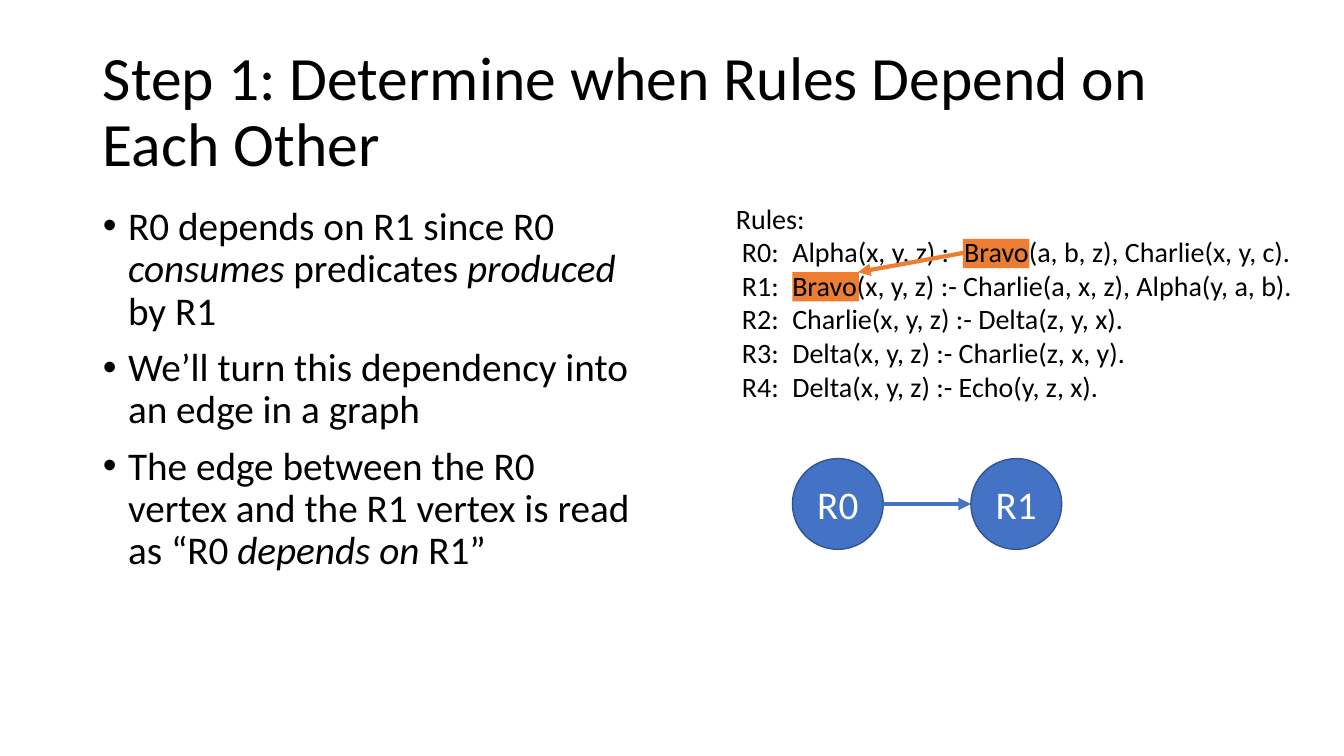
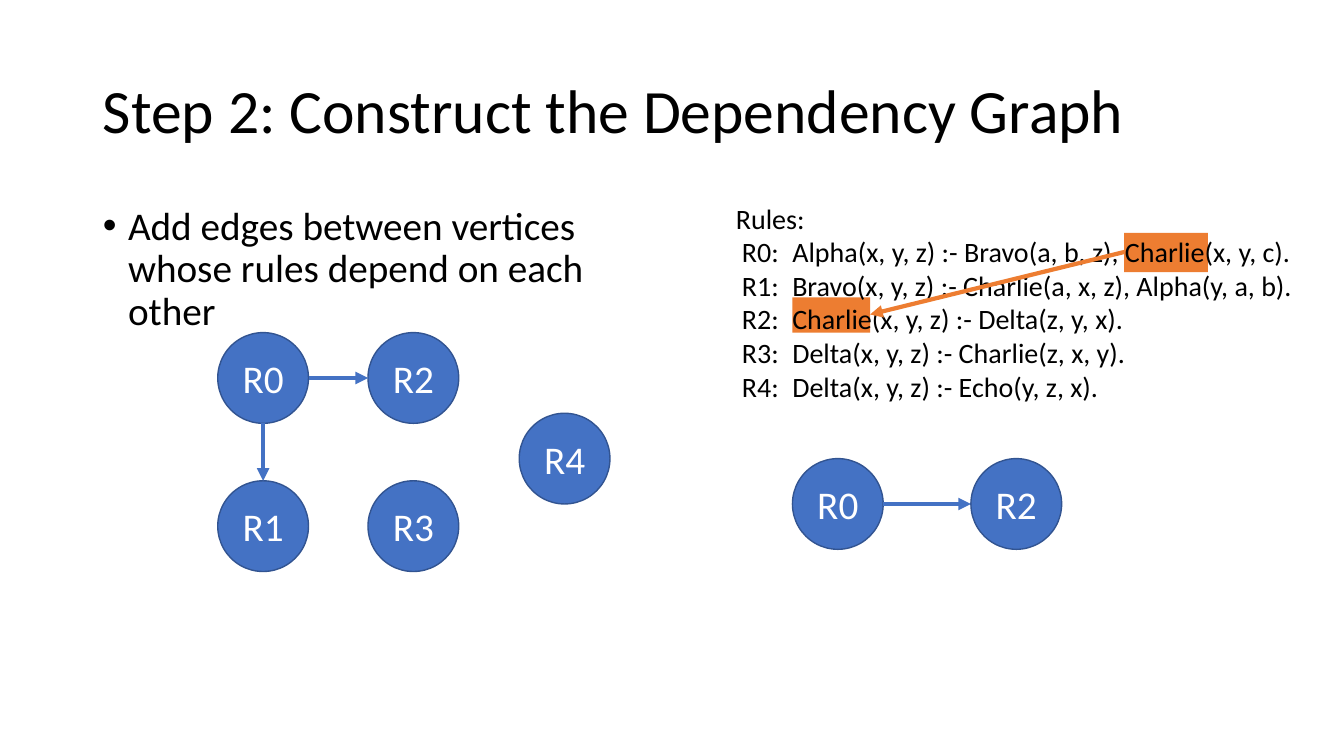
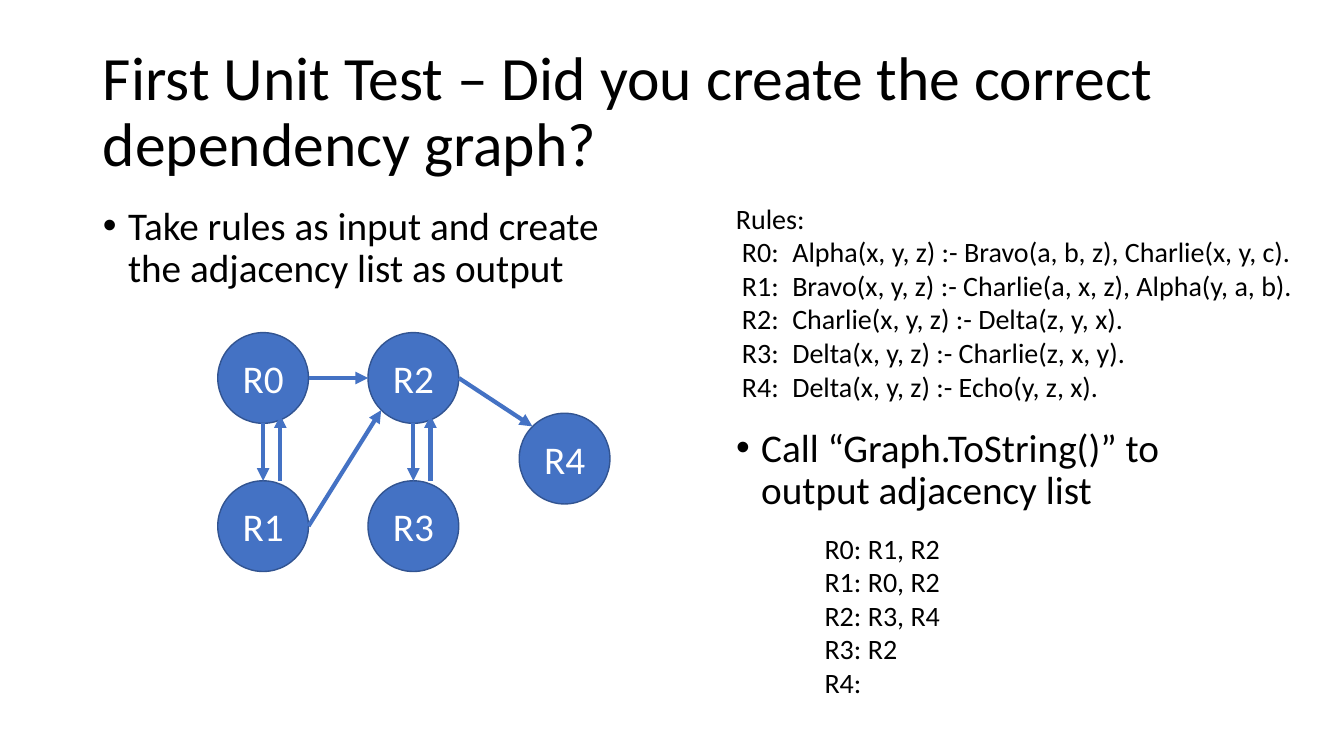
import pptx
import pptx.dml.color
import pptx.enum.shapes
import pptx.enum.text
import pptx.oxml
import pptx.oxml.ns
import pptx.util

Inches = pptx.util.Inches
Pt = pptx.util.Pt
RGBColor = pptx.dml.color.RGBColor
Shape = pptx.enum.shapes.MSO_SHAPE
Align = pptx.enum.text.PP_ALIGN
Anchor = pptx.enum.text.MSO_ANCHOR

BLACK = RGBColor(0x00, 0x00, 0x00)
WHITE = RGBColor(0xFF, 0xFF, 0xFF)
BLUE = RGBColor(0x44, 0x72, 0xC4)
NAVY = RGBColor(0x32, 0x54, 0x91)
ORANGE = RGBColor(0xED, 0x7D, 0x31)
FONT = "Calibri"

RULES = [
    "R0:\tAlpha(x, y, z) :- Bravo(a, b, z), Charlie(x, y, c).",
    "R1:\tBravo(x, y, z) :- Charlie(a, x, z), Alpha(y, a, b).",
    "R2:\tCharlie(x, y, z) :- Delta(z, y, x).",
    "R3:\tDelta(x, y, z) :- Charlie(z, x, y).",
    "R4:\tDelta(x, y, z) :- Echo(y, z, x).",
]
LISTING = ["R0: R1, R2", "R1: R0, R2", "R2: R3, R4", "R3: R2", "R4:"]

NODE = 0.9
# Places on a node where an edge starts or ends; "up" and "down" carry the return edges
SITES = {
    "n": (0.45, 0), "s": (0.45, 0.9), "e": (0.9, 0.45), "w": (0, 0.45),
    "nw": (0.13, 0.13), "sw": (0.13, 0.77), "up": (0.62, 0), "down": (0.62, 0.82),
}
FULL = {"R0": (0, 0), "R1": (0, 1.47), "R2": (1.49, 0), "R3": (1.49, 1.47), "R4": (2.99, 0.8)}
FIRST = [("R0", "s", "R1", "n"), ("R0", "e", "R2", "w")]
LATER = [
    ("R1", "up", "R0", "down"), ("R1", "e", "R2", "sw"), ("R2", "s", "R3", "n"),
    ("R3", "up", "R2", "down"), ("R2", "e", "R4", "nw"),
]


def write(frame, lines, size=28, color=BLACK, align=Align.LEFT, anchor=Anchor.TOP,
          wrap=True, spacing=1.0, before=0, left=0, hang=0):
    """Fill a text frame; stars in a line enclose italic words."""
    frame.auto_size = pptx.enum.text.MSO_AUTO_SIZE.NONE
    frame.word_wrap = wrap
    frame.vertical_anchor = anchor
    for i, line in enumerate(lines):
        para = frame.paragraphs[0] if i == 0 else frame.add_paragraph()
        para.alignment = align
        para.line_spacing = spacing
        para.space_before = Pt(before)
        props = para._p.get_or_add_pPr()
        props.set("marL", str(Inches(left)))
        props.set("indent", str(Inches(-hang)))
        for j, part in enumerate(line.split("*")):
            run = para.add_run()
            run.text = part
            run.font.name = FONT
            run.font.size = Pt(size)
            run.font.color.rgb = color
            run.font.italic = j % 2 == 1


def place(shape, x, y, w, h):
    shape.left, shape.top = Inches(x), Inches(y)
    shape.width, shape.height = Inches(w), Inches(h)


def label(slide, lines, x, y, w, h, **style):
    box = slide.shapes.add_textbox(Inches(x), Inches(y), Inches(w), Inches(h))
    write(box.text_frame, lines, size=20, **style)


def solid(slide, kind, x, y, w, h, fill, edge=None):
    shape = slide.shapes.add_shape(kind, Inches(x), Inches(y), Inches(w), Inches(h))
    shape.shadow.inherit = False
    shape.fill.solid()
    shape.fill.fore_color.rgb = fill
    if edge is None:
        shape.line.fill.background()
    else:
        shape.line.color.rgb = edge
        shape.line.width = Pt(1)
    return shape


def arrow(slide, start, end, color):
    ends = [Inches(v) for v in (*start, *end)]
    line = slide.shapes.add_connector(pptx.enum.shapes.MSO_CONNECTOR.STRAIGHT, *ends)
    line.line.color.rgb = color
    line.line.width = Pt(3)
    head = pptx.oxml.parse_xml(
        "<a:tailEnd %s type='triangle'/>" % pptx.oxml.ns.nsdecls("a"))
    line.line._get_or_add_ln().append(head)
    line._element.spPr.append(
        pptx.oxml.parse_xml("<a:effectLst %s/>" % pptx.oxml.ns.nsdecls("a")))


def graph(slide, x, y, nodes, edges):
    for name, (dx, dy) in nodes.items():
        disc = solid(slide, Shape.OVAL, x + dx, y + dy, NODE, NODE, BLUE, NAVY)
        write(disc.text_frame, [name], color=WHITE, align=Align.CENTER,
              anchor=Anchor.MIDDLE, wrap=False)

    def point(name, site):
        return x + nodes[name][0] + SITES[site][0], y + nodes[name][1] + SITES[site][1]

    for tail, leave, head, reach in edges:
        arrow(slide, point(tail, leave), point(head, reach), BLUE)


def pair(slide, other):
    """Draw R0 depending on one other rule."""
    graph(slide, 7.86, 4.55, {"R0": (0, 0), other: (1.77, 0)}, [("R0", "e", other, "w")])


def rules(slide, marks=(), link=None, x=7.2, y=1.95):
    """List the rules over marked words, with an arrow between the words."""
    for dx, dy, w, h in marks:
        solid(slide, Shape.RECTANGLE, x + dx, y + dy, w, h, ORANGE)
    label(slide, ["Rules:"], x, y, 2, 0.4)
    label(slide, RULES, x, y + 0.33, 6, 1.8, left=0.56, hang=0.5)
    if link:
        start, end = [(x + dx, y + dy) for dx, dy in link]
        arrow(slide, start, end, ORANGE)


def page(deck, title, left, right=None):
    """Add a slide with a title, a left list and perhaps a lower right list."""
    slide = deck.slides.add_slide(deck.slide_layouts[3])
    head, body, side = slide.placeholders
    place(head, 0.92, 0.4, 11.5, 1.45)
    write(head.text_frame, [title], size=44, anchor=Anchor.MIDDLE, spacing=0.9)
    items = dict(spacing=0.9, before=10, left=0.25, hang=0.25)
    place(body, 0.92, 2, 5.53, 4.76)
    write(body.text_frame, left, **items)
    if right:
        place(side, 7.2, 4.2, 5.53, 1)
        write(side.text_frame, right, **items)
    else:
        side._element.getparent().remove(side._element)
    return slide


def depend(deck):
    slide = page(deck, "Step 1: Determine when Rules Depend on Each Other", [
        "R0 depends on R1 since R0 *consumes* predicates *produced* by R1",
        "We’ll turn this dependency into an edge in a graph",
        "The edge between the R0 vertex and the R1 vertex is read as “R0 *depends on* R1”",
    ])
    rules(slide, [(0.66, 0.75, 0.66, 0.29), (2.35, 0.42, 0.66, 0.29)],
          [(2.35, 0.56), (1.31, 0.75)])
    pair(slide, "R1")


def build(deck):
    slide = page(deck, "Step 2: Construct the Dependency Graph",
                 ["Add edges between vertices whose rules depend on each other"])
    rules(slide, [(0.66, 1, 0.77, 0.35), (3.95, 0.36, 0.83, 0.39)],
          [(3.95, 0.55), (1.43, 1.17)])
    pair(slide, "R2")
    graph(slide, 2.16, 3.3, FULL, FIRST)


def check(deck):
    slide = page(deck, "First Unit Test – Did you create the correct dependency graph?",
                 ["Take rules as input and create the adjacency list as output"],
                 ["Call “Graph.ToString()” to output adjacency list"])
    rules(slide)
    graph(slide, 2.16, 3.3, FULL, FIRST + LATER)
    label(slide, LISTING, 8.08, 5.22, 1.6, 1.8)


def main():
    deck = pptx.Presentation()
    deck.slide_width, deck.slide_height = Inches(13.33), Inches(7.5)
    for draw in (depend, build, check):
        draw(deck)
    deck.save("out.pptx")


if __name__ == "__main__":
    main()
